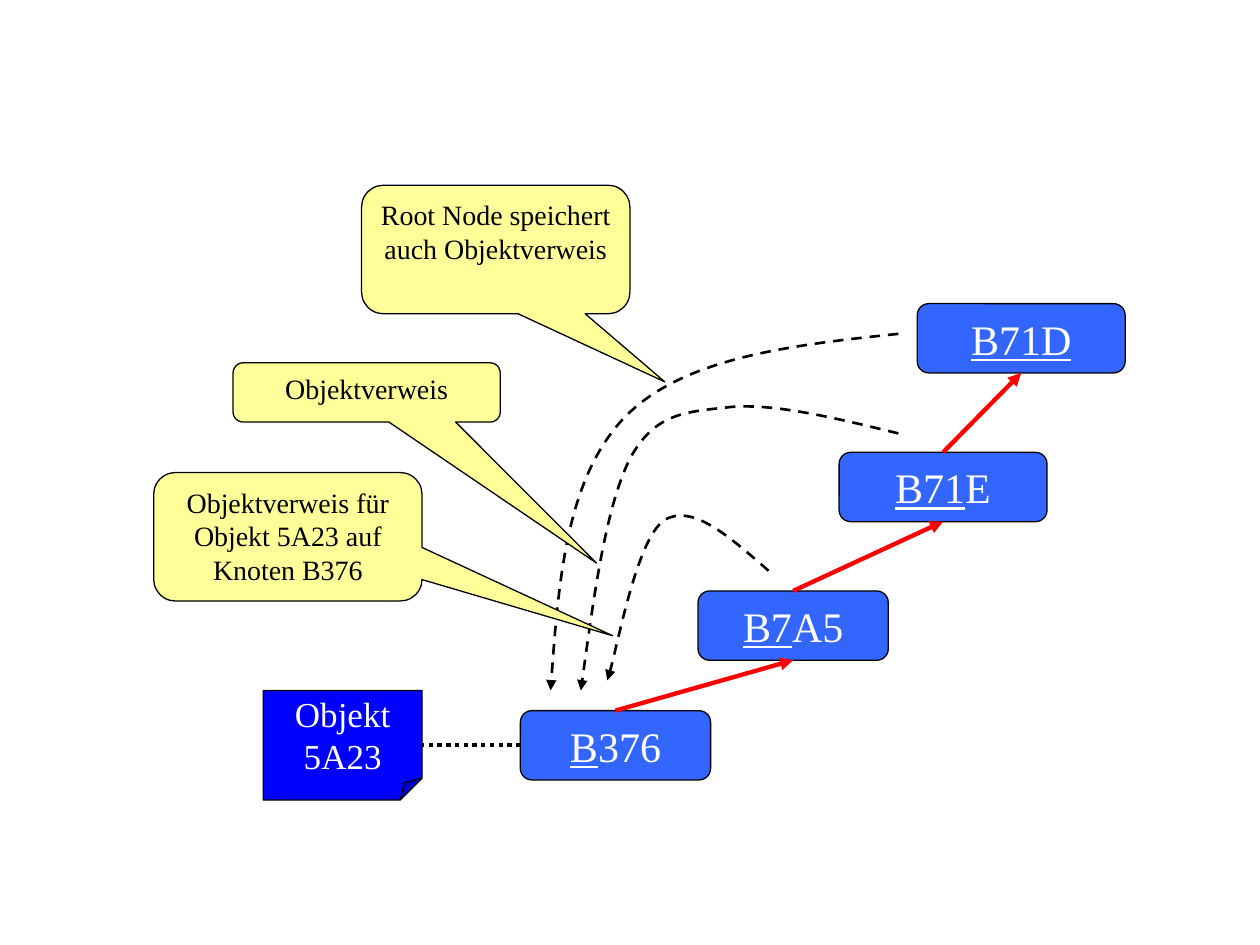
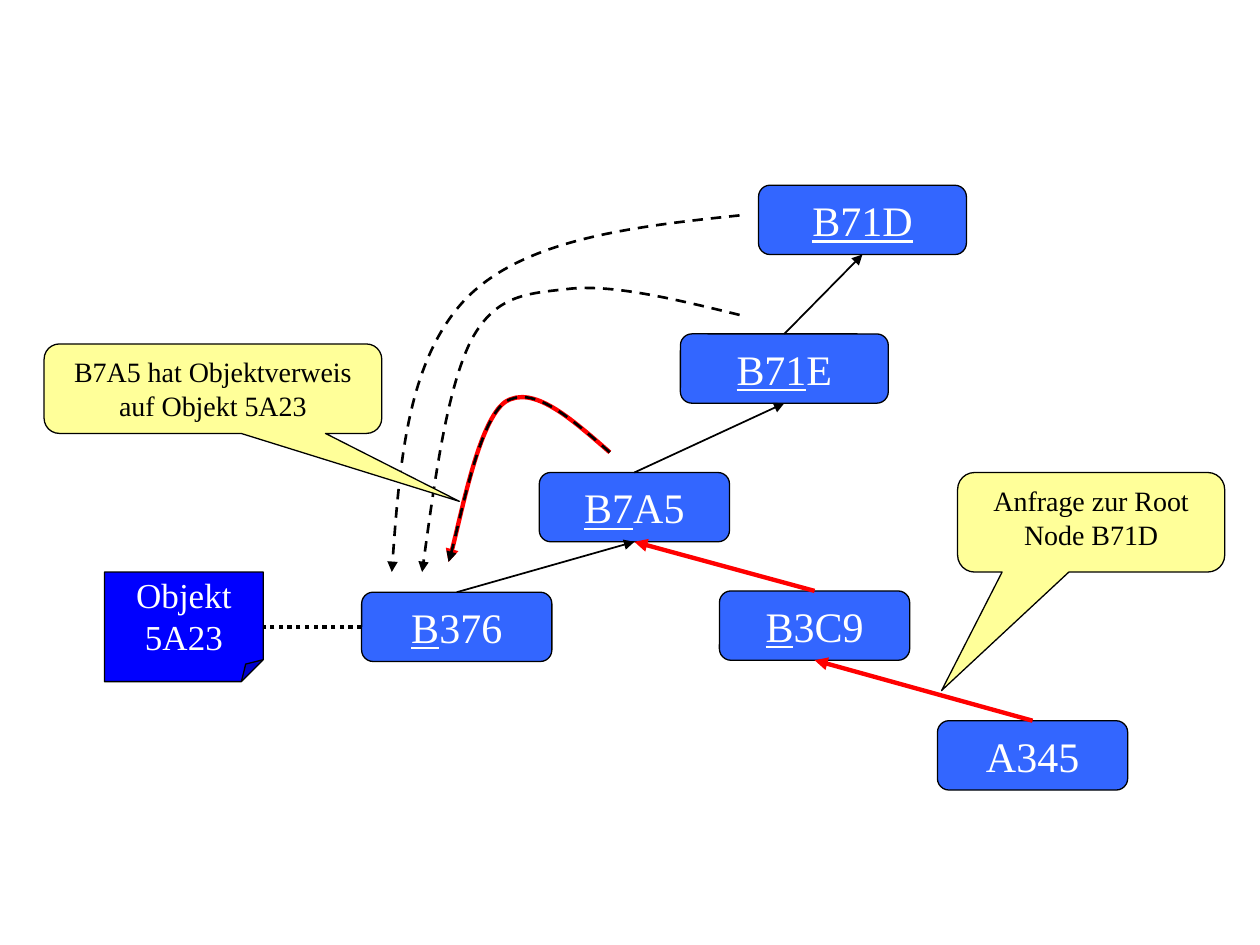
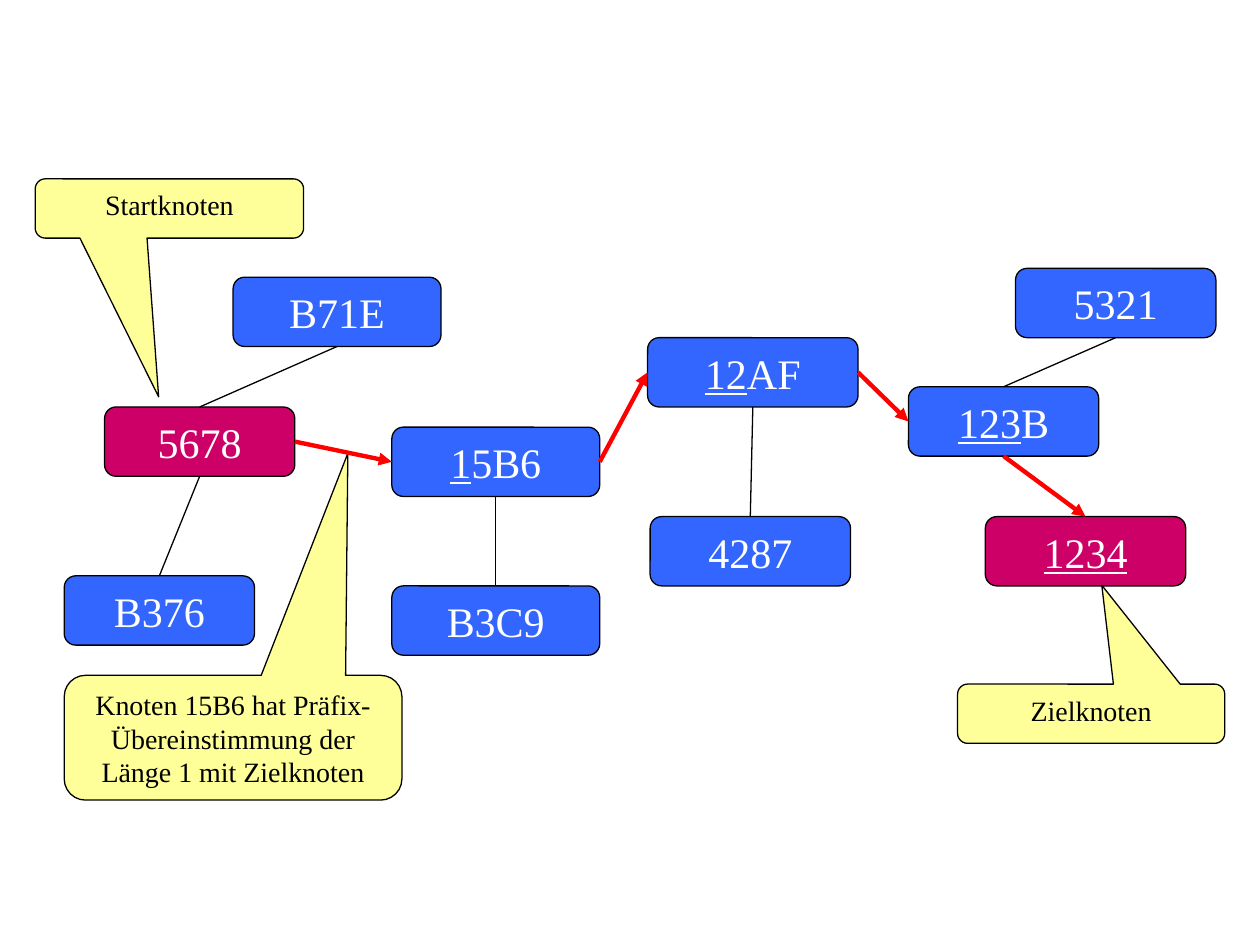
from dataclasses import dataclass
from typing import Any

from lxml import etree
from pptx import Presentation
from pptx.dml.color import RGBColor
from pptx.enum.dml import MSO_LINE
from pptx.enum.shapes import MSO_CONNECTOR, MSO_SHAPE
from pptx.enum.text import MSO_ANCHOR, PP_ALIGN
from pptx.oxml.ns import qn
from pptx.util import Inches, Pt

STRAIGHT = MSO_CONNECTOR.STRAIGHT
NODE_SHAPE = MSO_SHAPE.FLOWCHART_ALTERNATE_PROCESS
NOTE_SHAPE = MSO_SHAPE.FOLDED_CORNER
CALLOUT_SHAPE = MSO_SHAPE.ROUNDED_RECTANGULAR_CALLOUT
CENTER = PP_ALIGN.CENTER
TOP_ANCHOR, MIDDLE = MSO_ANCHOR.TOP, MSO_ANCHOR.MIDDLE
DASH, DOTS = MSO_LINE.DASH, MSO_LINE.ROUND_DOT
TOP, LEFT, BOTTOM, RIGHT = range(4)

SLIDE_W, SLIDE_H = Inches(10), Inches(7.5)
COLUMNS, ROWS = 100, 75
COL, ROW = SLIDE_W / COLUMNS, SLIDE_H / ROWS
FONT = "Times New Roman"
COLORS = {
    "node": "3366FF",
    "endpoint": "CC0066",
    "object": "0000FF",
    "callout": "FFFF99",
    "ink": "000000",
    "light": "FFFFFF",
    "route": "FF0000",
}

LINES = {
    "route": {"color": "route", "width": 2.5, "arrow": True},
    "parent": {"color": "ink", "width": 1, "arrow": True},
    "neighbor": {"color": "ink", "width": 0.75},
    "storage": {"color": "ink", "width": 2.5, "dash": DOTS},
    "reference": {"color": "ink", "width": 1.5, "dash": DASH, "arrow": True},
    "outline": {"color": "ink", "width": 0.75},
}
LABEL_FRAME = {"word_wrap": False, "vertical_anchor": MIDDLE}
CALLOUT_FRAME = {"word_wrap": True, "vertical_anchor": TOP_ANCHOR}

NODE_H = 5.5
NARROW, MEDIUM, WIDE, WIDEST = 15.1, 15.9, 16.5, 16.7

TREE_NODES = [
    ("B", "376", 20.4, 32.3, NARROW, "node"),
    ("B7", "A5", 34.5, 22.8, NARROW, "node"),
    ("B71", "E", 45.7, 11.8, WIDE, "node"),
    ("B71D", "", 51.9, 0, WIDE, "node"),
]
TREE_CHAIN = ["B376", "B7A5", "B71E", "B71D"]
REFERENCES = {
    "B7A5": [(40.1, 21.2), (37, 18.5), (34, 15.8), (31.8, 17.2),
             (29.7, 18.7), (28, 27.8), (27.3, 29.9)],
    "B71E": [(50.4, 10.3), (45.5, 9.1), (40.6, 7.9), (37.1, 8.2),
             (33.6, 8.6), (31.1, 8.6), (29.1, 12.3),
             (27.2, 16.1), (26.2, 23.4), (25.2, 30.7)],
    "B71D": [(50.4, 2.4), (41.8, 3.3), (33.3, 4.3), (28.7, 9),
             (24.1, 13.8), (23.4, 22.2), (22.8, 30.7)],
}
PUBLISH_CALLOUTS = [
    ("Root Node speichert auch Objektverweis", 7.8, -9.4, 21.3, 10.2, (0.63, 1.03)),
    ("Objektverweis", -2.4, 4.7, 21.2, 4.7, (0.86, 2.88)),
    ("Objektverweis für Objekt 5A23 auf Knoten B376", -8.7, 13.4, 21.3, 10.2, (1.21, 0.77)),
]

QUERY_NODES = [
    ("B", "3C9", 48.8, 32.2, NARROW, "node"),
    ("", "A345", 66.1, 42.5, NARROW, "node"),
]
QUERY_CALLOUTS = [
    ("Anfrage zur Root Node B71D", 67.7, 22.8, 21.2, 7.9, (-0.56, 1.69)),
    ("B7A5 hat Objektverweis auf Objekt 5A23", -4.8, 12.6, 26.8, 7.1, (0.73, 1.26)),
]

MESH_NODES = [
    ("", "B376", 2.3, 31.5, NARROW, "node"),
    ("", "5678", 5.5, 18.1, NARROW, "endpoint"),
    ("", "B71E", 15.7, 7.8, WIDE, "node"),
    ("1", "5B6", 28.3, 19.7, WIDE, "node"),
    ("", "B3C9", 28.3, 32.3, WIDE, "node"),
    ("123", "B", 69.3, 16.5, NARROW, "node"),
    ("1234", "", 75.4, 26.8, MEDIUM, "endpoint"),
    ("12", "AF", 48.6, 12.6, WIDEST, "node"),
    ("", "4287", 48.8, 26.8, MEDIUM, "node"),
    ("", "5321", 77.8, 7.1, MEDIUM, "node"),
]
MESH_CALLOUTS = [
    ("Startknoten", 0, 0, 21.3, 4.7, (-0.04, 3.18)),
    ("Knoten 15B6 hat Präfix-Übereinstimmung der Länge 1 mit Zielknoten",
     2.3, 39.4, 26.8, 9.9, (0.34, -2.28)),
    ("Zielknoten", 73.2, 40.1, 21.2, 4.7, (0.04, -2.17)),
]
NEIGHBORS = [("B376", "5678"), ("5678", "B71E"), ("B3C9", "15B6"),
             ("4287", "12AF"), ("123B", "5321")]
ROUTE = [("5678", RIGHT, "15B6", LEFT), ("15B6", RIGHT, "12AF", LEFT),
         ("12AF", RIGHT, "123B", LEFT), ("123B", BOTTOM, "1234", TOP)]


@dataclass
class Region:
    slide: Any
    left: float
    top: float

    def point(self, column, row):
        return round((self.left + column) * COL), round((self.top + row) * ROW)


def assign(target, values):
    for name, value in values.items():
        setattr(target, name, value)


def rgb(name):
    return RGBColor.from_string(COLORS[name])


def style_line(item, style):
    values = LINES[style]
    item.line.color.rgb = rgb(values["color"])
    item.line.width = Pt(values["width"])
    if "dash" in values:
        item.line.dash_style = values["dash"]
    if values.get("arrow"):
        etree.SubElement(item.get_or_add_ln(), qn("a:tailEnd"), type="triangle")


def set_guides(box, guides):
    guide_list = next(box._element.iter(qn("a:avLst")))
    for guide in list(guide_list):
        guide_list.remove(guide)
    for name, share in guides.items():
        etree.SubElement(guide_list, qn("a:gd"), name=name,
                         fmla=f"val {round(share * 100000)}")


def add_box(region, kind, place, fill):
    column, row, width, height = place
    box = region.slide.shapes.add_shape(
        kind, *region.point(column, row), round(width * COL), round(height * ROW))
    box.shadow.inherit = False
    box.fill.solid()
    box.fill.fore_color.rgb = rgb(fill)
    style_line(box, "outline")
    return box


def write(box, paragraphs, size, color, frame):
    assign(box.text_frame, frame)
    for index, runs in enumerate(paragraphs):
        paragraph = box.text_frame.add_paragraph() if index else box.text_frame.paragraphs[0]
        paragraph.alignment = CENTER
        for text, underline in runs:
            run = paragraph.add_run()
            run.text = text
            assign(run.font, {"name": FONT, "size": Pt(size), "underline": underline})
            run.font.color.rgb = rgb(color)


def add_nodes(region, specs):
    nodes = {}
    for prefix, rest, column, row, width, fill in specs:
        node = add_box(region, NODE_SHAPE, (column, row, width, NODE_H), fill)
        runs = [(text, underline) for text, underline in ((prefix, True), (rest, False)) if text]
        write(node, [runs], 24, "light", LABEL_FRAME)
        nodes[prefix + rest] = node
    return nodes


def add_callouts(region, specs):
    for text, column, row, width, height, (tip_x, tip_y) in specs:
        callout = add_box(region, CALLOUT_SHAPE, (column, row, width, height), "callout")
        set_guides(callout, {"adj1": tip_x, "adj2": tip_y, "adj3": 0.17})
        write(callout, [[(text, False)]], 16, "ink", CALLOUT_FRAME)


def link(region, start, start_side, end, end_side, style):
    connector = region.slide.shapes.add_connector(STRAIGHT, 0, 0, 0, 0)
    connector.begin_connect(start, start_side)
    connector.end_connect(end, end_side)
    style_line(connector, style)
    etree.SubElement(connector._element.spPr, qn("a:effectLst"))


def add_reference(region, source, style):
    start, *others = [region.point(*point) for point in REFERENCES[source]]
    builder = region.slide.shapes.build_freeform(*start)
    builder.add_line_segments(others, close=False)
    curve = builder.convert_to_shape()
    outline = next(curve._element.iter(qn("a:path")))
    segments = outline.findall(qn("a:lnTo"))
    for first in range(0, len(segments), 3):
        bezier = etree.SubElement(outline, qn("a:cubicBezTo"))
        for segment in segments[first:first + 3]:
            bezier.append(segment[0])
            outline.remove(segment)
    curve.shadow.inherit = False
    curve.fill.background()
    style_line(curve, style)


def add_tree(region, style):
    stored = add_box(region, NOTE_SHAPE, (0, 30.7, 12.6, 8.7), "object")
    set_guides(stored, {"adj": 0.2})
    write(stored, [[("Objekt", False)], [("5A23", False)]], 20, "light", LABEL_FRAME)
    nodes = add_nodes(region, TREE_NODES)
    for child, parent in zip(TREE_CHAIN, TREE_CHAIN[1:]):
        link(region, nodes[child], TOP, nodes[parent], BOTTOM, style)
    link(region, nodes["B376"], LEFT, stored, RIGHT, "storage")
    return nodes


def publish_slide(region):
    add_tree(region, "route")
    for source in REFERENCES:
        add_reference(region, source, "reference")
    add_callouts(region, PUBLISH_CALLOUTS)


def query_slide(region):
    nodes = add_tree(region, "parent")
    add_reference(region, "B7A5", "route")
    for source in ("B71E", "B71D"):
        add_reference(region, source, "reference")
    add_callouts(region, QUERY_CALLOUTS)
    nodes.update(add_nodes(region, QUERY_NODES))
    for child, parent in (("B3C9", "B7A5"), ("A345", "B3C9")):
        link(region, nodes[child], TOP, nodes[parent], BOTTOM, "route")
    add_reference(region, "B7A5", "reference")


def routing_slide(region):
    nodes = add_nodes(region, MESH_NODES)
    add_callouts(region, MESH_CALLOUTS)
    for lower, upper in NEIGHBORS:
        link(region, nodes[lower], TOP, nodes[upper], BOTTOM, "neighbor")
    for start, start_side, end, end_side in ROUTE:
        link(region, nodes[start], start_side, nodes[end], end_side, "route")


def main():
    deck = Presentation()
    assign(deck, {"slide_width": SLIDE_W, "slide_height": SLIDE_H})
    blank = deck.slide_layouts[6]
    for build, left, top in ((publish_slide, 20.9, 24.1),
                             (query_slide, 8.3, 14.7),
                             (routing_slide, 2.8, 14.2)):
        build(Region(deck.slides.add_slide(blank), left, top))
    deck.save("out.pptx")


if __name__ == "__main__":
    main()
